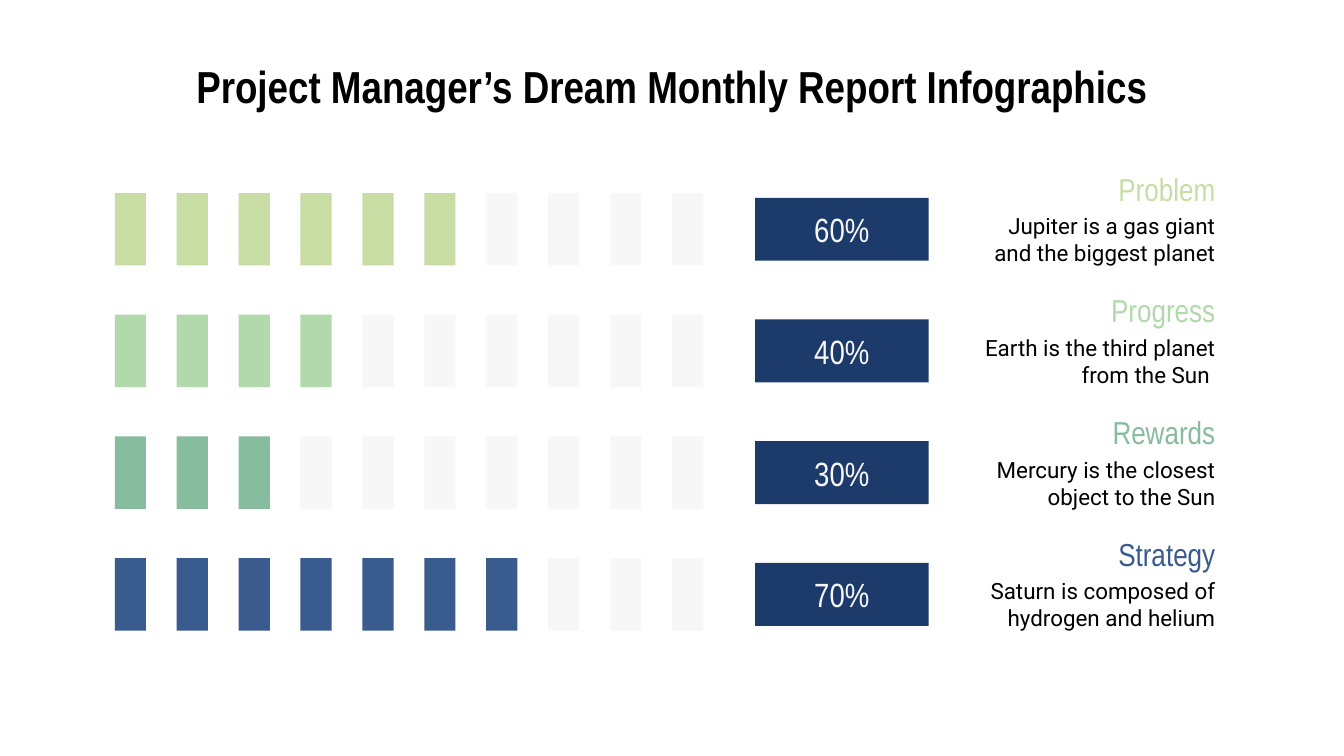
from pptx import Presentation
from pptx.dml.color import RGBColor
from pptx.enum.shapes import MSO_SHAPE as Shape
from pptx.enum.text import MSO_ANCHOR as Anchor, PP_ALIGN as Align
from pptx.util import Cm, Pt

BLACK = RGBColor(0x00, 0x00, 0x00)
PALE = RGBColor(0xF7, 0xF7, 0xF7)
NAVY = RGBColor(0x1C, 0x3B, 0x6A)
LIME = RGBColor(0xC8, 0xDD, 0xA4)
GREEN = RGBColor(0xB2, 0xD9, 0xAB)
TEAL = RGBColor(0x87, 0xBC, 0x9E)
BLUE = RGBColor(0x39, 0x5B, 0x8E)

TITLE = "Project Manager’s Dream Monthly Report Infographics"
ROWS = [  # label, text, percent, colour
    ("Problem", "Jupiter is a gas giant\vand the biggest planet", 60, LIME),
    ("Progress", "Earth is the third planet from the Sun ", 40, GREEN),
    ("Rewards", "Mercury is the closest object to the Sun", 30, TEAL),
    ("Strategy", "Saturn is composed of hydrogen and helium", 70, BLUE),
]

HEAD = {"name": "Arial Narrow", "size": Pt(24), "bold": True}
LABEL = {"name": "Arial Narrow", "size": Pt(17)}
BODY = {"name": "Roboto", "size": Pt(12)}
BADGE = {"name": "Arial Narrow", "size": Pt(18)}

BARS = 10
BAR_STEP = 1.17
ROW_STEP = 2.3


def write(shape, text, font, color, align, anchor=Anchor.MIDDLE):
    frame = shape.text_frame
    frame.word_wrap = True
    frame.vertical_anchor = anchor
    for side in ("left", "right", "top", "bottom"):
        setattr(frame, f"margin_{side}", Cm(0.25))
    para = frame.paragraphs[0]
    para.text = text
    para.alignment = align
    for key, value in font.items():
        setattr(para.font, key, value)
    para.font.color.rgb = color


def add_box(shapes, place, fill):
    box = shapes.add_shape(Shape.RECTANGLE, *map(Cm, place))
    box.shadow.inherit = False
    box.fill.solid()
    box.fill.fore_color.rgb = fill
    box.line.fill.background()
    return box


def add_text(shapes, place, *style):
    write(shapes.add_textbox(*map(Cm, place)), *style)


def add_row(shapes, down, label, text, percent, color):
    bars = shapes.add_group_shape().shapes
    for i in range(BARS):
        fill = color if i < percent * BARS // 100 else PALE
        add_box(bars, (2.17 + i * BAR_STEP, 3.65 + down, 0.59, 1.37), fill)

    badge = add_box(shapes, (14.27, 3.74 + down, 3.28, 1.19), NAVY)
    write(badge, f"{percent}%", BADGE, PALE, Align.CENTER)

    note = shapes.add_group_shape().shapes
    add_text(note, (17.55, 2.97 + down, 5.67, 1.19),
             label, LABEL, color, Align.RIGHT)
    add_text(note, (17.55, 3.79 + down, 5.67, 1.47),
             text, BODY, BLACK, Align.RIGHT)


def main():
    deck = Presentation()
    deck.slide_width, deck.slide_height = Cm(25.4), Cm(14.29)
    shapes = deck.slides.add_slide(deck.slide_layouts[6]).shapes
    add_text(shapes, (0.5, 0.86, 24.4, 1.6),
             TITLE, HEAD, BLACK, Align.CENTER, Anchor.TOP)
    for n, row in enumerate(ROWS):
        add_row(shapes, n * ROW_STEP, *row)
    deck.save("out.pptx")


if __name__ == "__main__":
    main()
